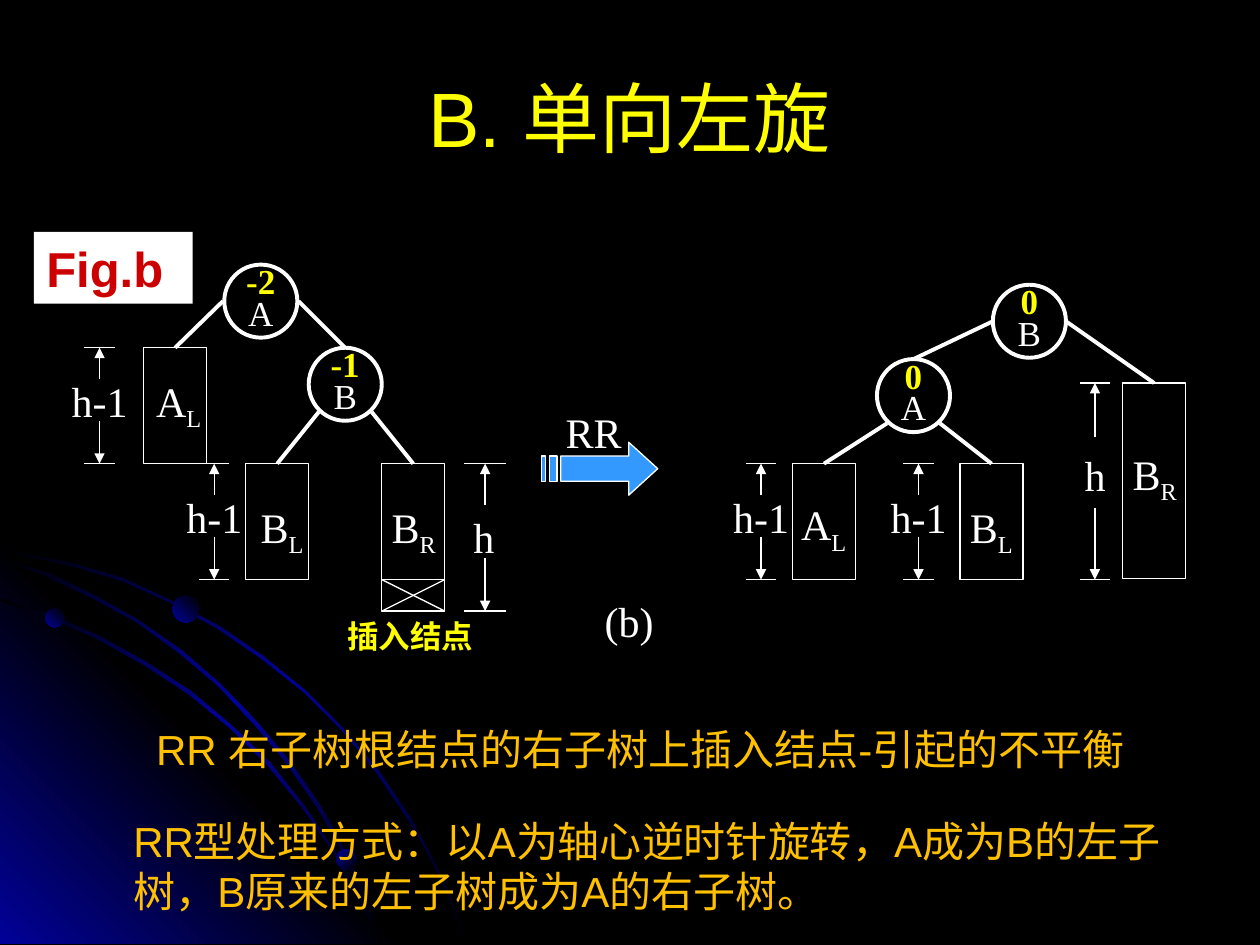
from lxml import etree
from pptx import Presentation, util as u
from pptx.dml.color import RGBColor
from pptx.enum import shapes as s, text as t
from pptx.oxml.ns import qn

BLACK = RGBColor(0x00, 0x00, 0x00)
NAVY = RGBColor(0x01, 0x01, 0x99)
WHITE = RGBColor(0xFF, 0xFF, 0xFF)
YELLOW = RGBColor(0xFF, 0xFF, 0x00)
GOLD = RGBColor(0xFF, 0xC0, 0x00)
RED = RGBColor(0xCC, 0x00, 0x00)
BLUE = RGBColor(0x33, 0x99, 0xFF)
SERIF, SANS = "Times New Roman", "Arial"
IN = u.Inches
UNIT = IN(0.01)  # outline points are in hundredths of an inch

deck = Presentation()
deck.slide_width, deck.slide_height = IN(10), IN(7.5)
slide = deck.slides.add_slide(deck.slide_layouts[6])
slide.background.fill.solid()
slide.background.fill.fore_color.rgb = BLACK
draw = slide.shapes


def label(x, y, w, words, sub="", h=0.5, size=24, color=WHITE, face=SERIF, bold=False, wrap=False):
    box = draw.add_textbox(IN(x), IN(y), IN(w), IN(h))
    box.text_frame.word_wrap = wrap
    if not wrap:
        box.text_frame.auto_size = t.MSO_AUTO_SIZE.SHAPE_TO_FIT_TEXT
    para = box.text_frame.paragraphs[0]
    para.font.size, para.font.name, para.font.bold = u.Pt(size), face, bold
    para.font.color.rgb = color
    para.add_run().text = words
    if sub:
        low = para.add_run()
        low.text = sub
        low._r.get_or_add_rPr().set("baseline", "-25000")
    return box.text_frame


def line(x1, y1, x2, y2, width=0.75, arrow=False):
    link = draw.add_connector(s.MSO_CONNECTOR.STRAIGHT, IN(x1), IN(y1), IN(x2), IN(y2))
    link.line.color.rgb, link.line.width = WHITE, u.Pt(width)
    if arrow:
        etree.SubElement(link.line._get_or_add_ln(), qn("a:tailEnd"), type="triangle")
    etree.SubElement(link._element.spPr, qn("a:effectLst"))
    return link


# Backdrop: arcs, corner glow and balls, each with stops and angle
arc1 = [(57, 447), (28, 441), (0, 435), (0, 438), (28, 443), (56, 449), (97, 461), (135, 478),
        (173, 499), (208, 523), (241, 549), (271, 579), (298, 612), (323, 649), (337, 673),
        (350, 698), (360, 723), (370, 749), (372, 749), (362, 723), (352, 698), (339, 673),
        (325, 648), (300, 611), (272, 578), (242, 548), (209, 521), (174, 497), (136, 477),
        (98, 459)]
arc2 = [(285, 714), (294, 732), (301, 749), (303, 749), (296, 730), (286, 712), (266, 676),
        (242, 640), (215, 606), (184, 576), (152, 549), (117, 526), (79, 505), (41, 488),
        (0, 475), (0, 477), (39, 490), (77, 507), (115, 528), (150, 551), (183, 578),
        (213, 608), (240, 641), (265, 677)]
arc3 = [(0, 442), (0, 444), (36, 457), (74, 475), (109, 494), (142, 518), (173, 544), (202, 575),
        (227, 605), (252, 641), (267, 667), (280, 694), (292, 722), (301, 749), (303, 749),
        (294, 720), (282, 693), (269, 665), (254, 639), (229, 603), (204, 573), (175, 543),
        (144, 516), (111, 493), (76, 473), (39, 455)]
glow = [(322, 749), (0, 749), (0, 427)]
band, fade = (BLACK, NAVY, BLACK), (NAVY, BLACK)
for form, stops, angle in [
    (arc1, band, 45), (glow, (NAVY, BLACK, NAVY), 315), (arc2, band, 45), (arc3, band, 45),
    ((0.36, 4.83, 0.15), fade, 315), ((2.67, 6.74, 0.16), fade, 45), ((1.37, 4.73, 0.21), fade, 315),
]:
    if isinstance(form, list):
        edge = draw.build_freeform(*form[0], scale=UNIT)
        edge.add_line_segments(form[1:])
        part = edge.convert_to_shape()
    else:
        x, y, d = form
        part = draw.add_shape(s.MSO_SHAPE.OVAL, IN(x), IN(y), IN(d), IN(d))
    part.shadow.inherit = False
    part.line.fill.background()
    part.fill.gradient()
    part.fill.gradient_angle = 360 - angle
    ramp = part._element.spPr.find(qn("a:gradFill")).find(qn("a:gsLst"))
    for old in list(ramp):
        ramp.remove(old)
    for i, color in enumerate(stops):
        stop = etree.SubElement(ramp, qn("a:gs"), pos=str(100000 * i // (len(stops) - 1)))
        etree.SubElement(stop, qn("a:srgbClr"), val=str(color))

# Tree nodes: balance factor over name
for x, y, factor, name in [(1.78, 2.1, "-2", "A"), (2.45, 2.76, "-1", "B"),
                           (6.96, 2.85, "0", "A"), (7.88, 2.26, "0", "B")]:
    node = draw.add_shape(s.MSO_SHAPE.OVAL, IN(x), IN(y), IN(0.58), IN(0.58))
    node.shadow.inherit = False
    node.fill.background()
    node.line.color.rgb, node.line.width = WHITE, u.Pt(2.25)
    frame = node.text_frame
    frame.word_wrap = False
    frame.vertical_anchor = t.MSO_ANCHOR.MIDDLE
    frame.text = f"{factor}\n{name}"
    for para, color, bold in zip(frame.paragraphs, (YELLOW, WHITE), (True, False)):
        para.alignment, para.line_spacing = t.PP_ALIGN.CENTER, 0.75
        para.font.size, para.font.name, para.font.bold = u.Pt(20), SERIF, bold
        para.font.color.rgb = color

# Subtrees: box, label and the branch from the parent node
for x, y, h, name, sub, tx, ty, px, py in [
    (1.14, 2.76, 0.92, "A", "L", 1.14, 2.93, 1.77, 2.39),
    (1.95, 3.68, 0.92, "B", "L", 1.97, 3.93, 2.53, 3.27),
    (3.03, 3.68, 1.17, "B", "R", 3.01, 3.93, 2.95, 3.27),
    (6.29, 3.68, 0.92, "A", "L", 6.26, 3.91, 7.04, 3.36),
    (7.62, 3.68, 0.92, "B", "L", 7.6, 3.93, 7.46, 3.36),
    (8.91, 3.04, 1.55, "B", "R", 8.89, 3.51, 8.46, 2.55),
]:
    tree = draw.add_shape(s.MSO_SHAPE.RECTANGLE, IN(x), IN(y), IN(0.5), IN(h))
    tree.shadow.inherit = False
    tree.fill.background()
    tree.line.color.rgb, tree.line.width = WHITE, u.Pt(0.75)
    label(tx, ty, 0.57, name, sub)
    line(px, py, x + 0.25, y, 2.25).end_connect(tree, 0)

# Branches between nodes
line(2.37, 2.39, 2.74, 2.76, 2.25)
line(7.88, 2.55, 7.25, 2.85, 2.25)

# Inserted node
for y1, y2 in [(4.6, 4.6), (4.6, 4.85), (4.85, 4.6)]:
    line(3.53, y1, 3.03, y2)
label(2.66, 4.85, 1.2, "插入结点", h=0.4, size=18, color=YELLOW, bold=True)

# Height marks: ticks, arrows and label
marks = [(x, 0.12, y, y + 0.92, y + 0.25, y + 0.58, "h-1", x - 0.32, y + 0.17, 0.65)
         for x, y in [(0.79, 2.76), (1.7, 3.68), (6.04, 3.68), (7.29, 3.68)]]
marks += [(3.85, 0.17, 3.68, 4.85, 4.01, 4.43, "h", 3.66, 4.01, 0.37),
          (8.69, 0.12, 3.04, 4.6, 3.47, 4.03, "h", 8.51, 3.52, 0.37)]
for x, half, top, base, up, down, words, tx, ty, w in marks:
    for end, start in [(top, up), (base, down)]:
        line(x + half, end, x - half, end)
        line(x, start, x, end, arrow=True)
    label(tx, ty, w, words)

# Striped rotation arrow
edge = draw.build_freeform(499, 351, scale=UNIT)
edge.add_line_segments([(499, 362), (445, 362), (445, 382), (499, 382), (499, 393), (522, 372)])
for x1, x2 in [(436, 442), (430, 433)]:
    edge.move_to(x1, 362)
    edge.add_line_segments([(x1, 382), (x2, 382), (x2, 362)])
arrow = edge.convert_to_shape()
arrow.shadow.inherit = False
arrow.fill.solid()
arrow.fill.fore_color.rgb = BLUE
arrow.line.color.rgb, arrow.line.width = WHITE, u.Pt(0.75)
label(4.39, 3.18, 0.65, "RR")
label(4.7, 4.68, 0.59, "(b)")

# Figure tag
tag = draw.add_shape(s.MSO_SHAPE.RECTANGLE, IN(0.27), IN(1.84), IN(1.26), IN(0.57))
tag.shadow.inherit = False
tag.fill.solid()
tag.fill.fore_color.rgb = WHITE
tag.line.fill.background()
tag.text_frame.text = "Fig.b"
para = tag.text_frame.paragraphs[0]
para.alignment = t.PP_ALIGN.LEFT
para.font.size, para.font.name, para.font.bold = u.Pt(28), SANS, True
para.font.color.rgb = RED

# Title and explanation
title = label(0.5, 0.3, 9, "B. 单向左旋", h=1.25, size=44, color=YELLOW, face=SANS, wrap=True)
title.vertical_anchor = t.MSO_ANCHOR.MIDDLE
title.paragraphs[0].alignment = t.PP_ALIGN.CENTER
label(1.14, 5.69, 8.46, "RR 右子树根结点的右子树上插入结点-引起的不平衡",
      color=GOLD, face=SANS, wrap=True)
label(0.96, 6.42, 8.46, "RR型处理方式：以A为轴心逆时针旋转，A成为B的左子树，B原来的左子树成为A的右子树。",
      h=0.91, color=GOLD, face=SANS, wrap=True)

deck.save("out.pptx")
